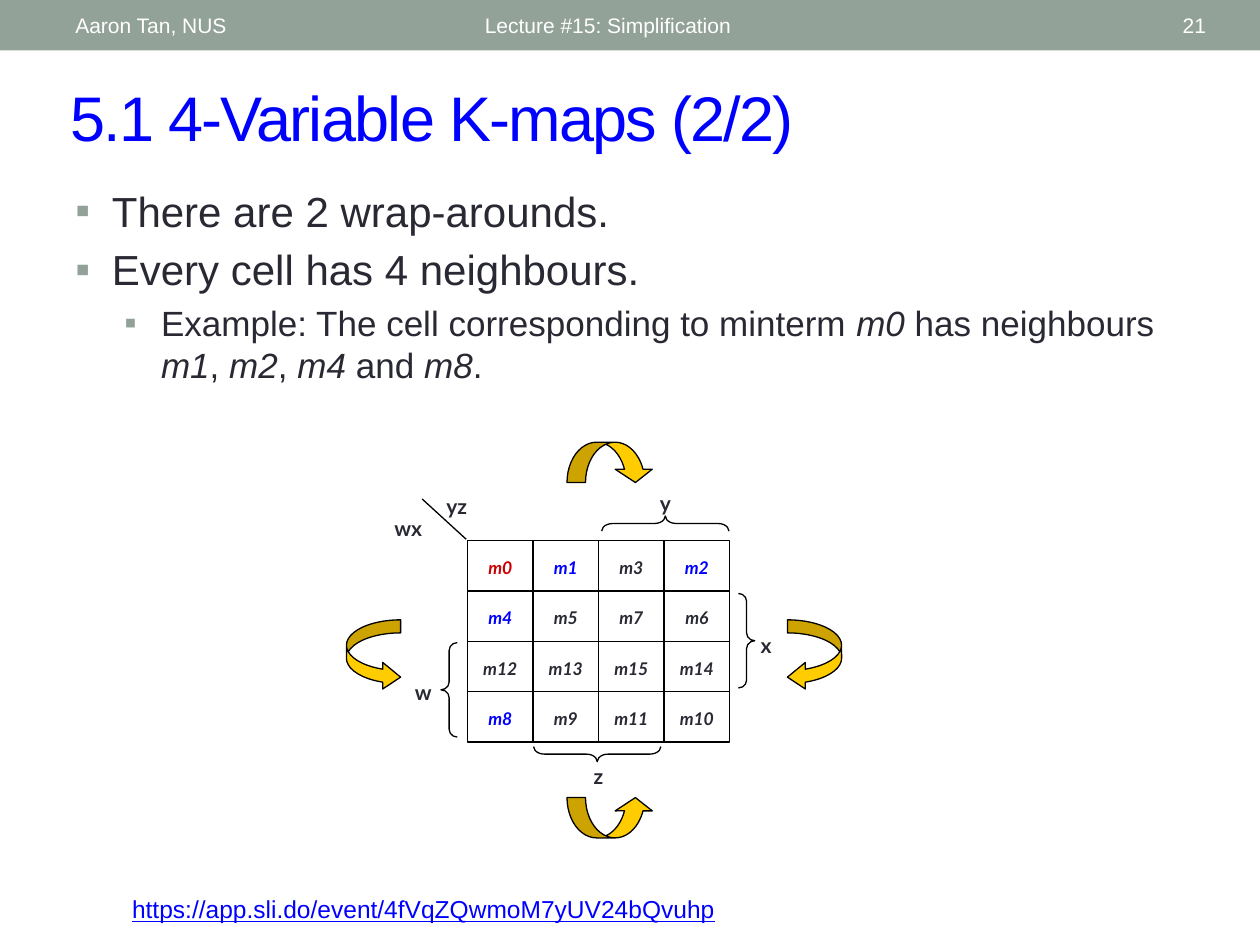
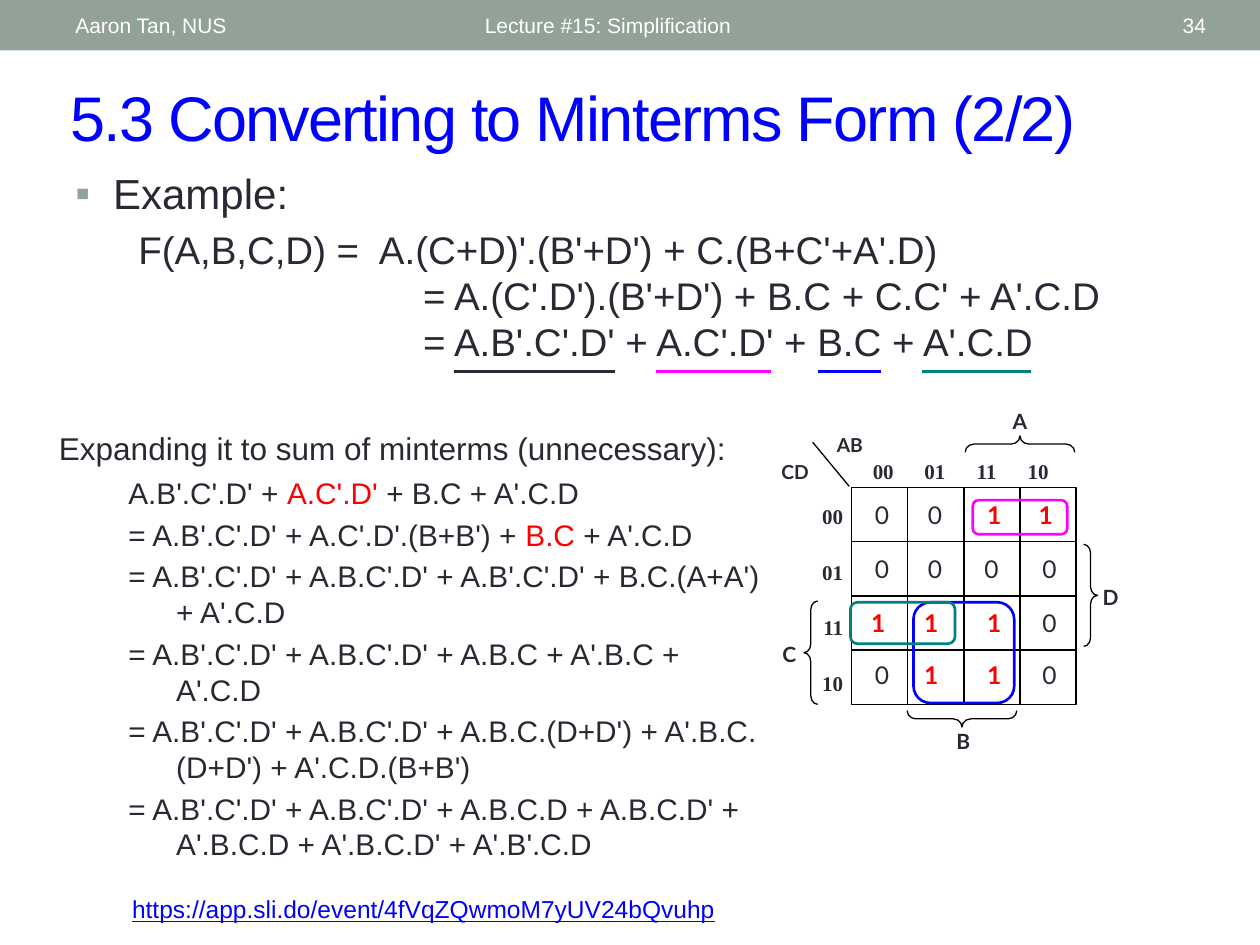
from lxml import etree
from pptx import Presentation
from pptx.dml.color import RGBColor
from pptx.enum.shapes import MSO_CONNECTOR, MSO_SHAPE
from pptx.enum.text import MSO_ANCHOR, PP_ALIGN
from pptx.oxml.ns import qn
from pptx.util import Inches, Pt

SAGE = RGBColor(0x93, 0xA2, 0x99)
INK = RGBColor(0x29, 0x29, 0x34)
BLACK = RGBColor(0, 0, 0)
WHITE = RGBColor(0xFF, 0xFF, 0xFF)
BLUE = RGBColor(0, 0, 0xFF)
RED = RGBColor(0xFF, 0, 0)
DARK_RED = RGBColor(0xCC, 0, 0)
MAGENTA = RGBColor(0xFF, 0, 0xFF)
TEAL = RGBColor(0, 0x80, 0x80)
GOLD = RGBColor(0xFF, 0xCC, 0)

LEFT, CENTER, RIGHT = PP_ALIGN.LEFT, PP_ALIGN.CENTER, PP_ALIGN.RIGHT
TOP, MIDDLE = MSO_ANCHOR.TOP, MSO_ANCHOR.MIDDLE
STRAIGHT = MSO_CONNECTOR.STRAIGHT
RECT, ROUND_RECT = MSO_SHAPE.RECTANGLE, MSO_SHAPE.ROUNDED_RECTANGLE
BRACE = MSO_SHAPE.LEFT_BRACE
SIDE_ARROW, UP_ARROW = MSO_SHAPE.CURVED_RIGHT_ARROW, MSO_SHAPE.CURVED_UP_ARROW

BODY, LABEL, SERIF = "Arial", "Lato", "Times New Roman"
URL = "https://app.sli.do/event/4fVqZQwmoM7yUV24bQvuhp"


def write(p, text, size=12, font=BODY, color=INK, bold=False, italic=False,
          underline=False, align=LEFT, spacing=None, accent=None, bullet=False,
          margin=0, hang=0, before=0):
    """Fill a paragraph; parts between | marks take the accent format."""
    pPr = p._p.get_or_add_pPr()
    pPr.set("marL", str(Inches(margin)))
    pPr.set("indent", str(-Inches(hang)))
    if bullet:
        clr = etree.SubElement(pPr, qn("a:buClr"))
        etree.SubElement(clr, qn("a:srgbClr"), val=str(SAGE))
        etree.SubElement(pPr, qn("a:buFont"), typeface=BODY)
        etree.SubElement(pPr, qn("a:buChar"), char="▪")
    p.alignment = align
    p.space_before = Pt(before)
    for i, part in enumerate(text.split("|")):
        r = p.add_run()
        r.text = part
        style = dict(color=color, italic=italic)
        if i % 2:
            style.update(accent)
        r.font.name, r.font.size, r.font.bold = font, Pt(size), bold
        r.font.italic, r.font.underline = style["italic"], underline
        r.font.color.rgb = style["color"]
        if spacing:
            r._r.get_or_add_rPr().set("spc", str(spacing))


class Deck:
    """Holds the presentation, the lecture style and the current slide."""

    def __init__(self):
        self.prs = Presentation()
        self.prs.slide_width, self.prs.slide_height = Inches(10), Inches(7.5)
        self.s = None

    def new_slide(self, title, number):
        self.s = self.prs.slides.add_slide(self.prs.slide_layouts[6])
        self.shape(RECT, 0, 0, 10, 0.4, fill=SAGE, line=None)
        self.text(0.95, 7.05, 6.5, 0.34, URL, size=14, color=BLUE, underline=True)
        self.text(0.46, 0.57, 9.07, 0.7, title, anchor=MIDDLE, size=36,
                  color=BLUE, spacing=-100)
        header = dict(anchor=MIDDLE, color=WHITE)
        self.text(3.75, 0.02, 4.5, 0.36, "Lecture #15: Simplification", **header)
        self.text(8.72, 0.02, 0.95, 0.36, number, align=RIGHT, **header)
        self.text(0.5, 0.02, 3.17, 0.36, "Aaron Tan, NUS", **header)

    def text(self, x, y, w, h, text, anchor=TOP, **fmt):
        self.paragraphs(x, y, w, h, [(text, {})], anchor, **fmt)

    def paragraphs(self, x, y, w, h, items, anchor=TOP, **shared):
        """Place a box of (text, own format) paragraphs over a shared format."""
        sp = self.s.shapes.add_textbox(Inches(x), Inches(y), Inches(w), Inches(h))
        tf = sp.text_frame
        tf.word_wrap, tf.vertical_anchor = True, anchor
        for i, (text, own) in enumerate(items):
            p = tf.add_paragraph() if i else tf.paragraphs[0]
            write(p, text, **{**shared, **own})

    def label(self, x, y, w, text, h=0.32, size=12):
        self.text(x, y, w, h, text, size=size, font=LABEL, bold=True, align=CENTER)

    def shape(self, kind, x, y, w, h, fill=None, line=BLACK, width=0.75,
              rotation=0, flip=None, adj=()):
        sp = self.s.shapes.add_shape(kind, Inches(x), Inches(y), Inches(w), Inches(h))
        sp.shadow.inherit = False
        sp.rotation = rotation
        if flip:
            sp._element.spPr.get_or_add_xfrm().set(flip, "1")
        for i, value in enumerate(adj):
            sp.adjustments[i] = value
        if fill is None:
            sp.fill.background()
        else:
            sp.fill.solid()
            sp.fill.fore_color.rgb = fill
        if line is None:
            sp.line.fill.background()
        else:
            sp.line.color.rgb, sp.line.width = line, Pt(width)
        return sp

    def brace(self, x, y, w, h, bend, rotation=0):
        self.shape(BRACE, x, y, w, h, rotation=rotation, adj=(bend, 0.5))

    def line(self, x1, y1, x2, y2, color=BLACK, width=0.75):
        c = self.s.shapes.add_connector(
            STRAIGHT, Inches(x1), Inches(y1), Inches(x2), Inches(y2))
        c.line.color.rgb, c.line.width = color, Pt(width)
        etree.SubElement(c._element.spPr, qn("a:effectLst"))
        return c

    def kmap_grid(self, x, y, w, h):
        """Draw a 4 by 4 frame whose middle lines are joined to its sides."""
        frame = self.shape(RECT, x, y, w, h)
        for i in (1, 2, 3):
            across = self.line(x, y + h * i / 4, x + w, y + h * i / 4)
            down = self.line(x + w * i / 4, y, x + w * i / 4, y + h)
            if i == 2:
                for c, start, end in ((across, 1, 3), (down, 0, 2)):
                    c.begin_connect(frame, start)
                    c.end_connect(frame, end)


def four_variable_slide(deck):
    deck.new_slide("5.1 4-Variable K-maps (2/2)", "21")
    deck.paragraphs(0.5, 1.42, 9, 1.96, [
        ("There are 2 wrap-arounds.", {}),
        ("Every cell has 4 neighbours.", dict(before=4.8)),
        ("Example: The cell corresponding to minterm |m0| has neighbours "
         "|m1|, |m2|, |m4| and |m8|.", dict(before=4, size=20, margin=0.68)),
    ], size=24, bullet=True, margin=0.29, hang=0.29, accent=dict(italic=True))

    left, top, cell_w, cell_h = 3.71, 4.29, 0.52, 0.4
    deck.kmap_grid(left, top, 4 * cell_w, 4 * cell_h)
    colors = {0: DARK_RED, 1: BLUE, 2: BLUE, 4: BLUE, 8: BLUE}
    gray_code = (0, 1, 3, 2)
    for row, wx in enumerate(gray_code):
        for col, yz in enumerate(gray_code):
            minterm = 4 * wx + yz
            deck.text(left + col * cell_w, top + 0.08 + row * cell_h, cell_w, 0.32,
                      f"m{minterm}", size=10, font=LABEL, bold=True, italic=True,
                      align=CENTER, color=colors.get(minterm, INK))

    deck.line(3.7, 4.28, 3.35, 3.96)
    for name, x, y, w in (("wx", 2.92, 4.04, 0.64), ("yz", 3.4, 3.87, 0.45),
                          ("w", 3.17, 5.34, 0.38), ("x", 5.89, 4.97, 0.38),
                          ("y", 5.09, 3.84, 0.38), ("z", 4.56, 6.01, 0.38)):
        deck.label(x, y, w, name)
    deck.brace(3.5, 5.1, 0.13, 0.75, 0.48)
    deck.brace(5.86, 4.71, 0.13, 0.75, 0.48, 180)
    deck.brace(5.22, 3.65, 0.12, 1.01, 0.72, 90)
    deck.brace(4.68, 5.48, 0.12, 1.01, 0.72, 270)

    for x, flip in ((2.75, None), (6.25, "flipH")):
        deck.shape(SIDE_ARROW, x, 4.92, 0.43, 0.56, fill=GOLD, flip=flip,
                   adj=(0.24, 0.49, 0.33))
    for y, flip in ((6.33, None), (3.51, "flipV")):
        deck.shape(UP_ARROW, 4.5, y, 0.69, 0.32, fill=GOLD, flip=flip,
                   adj=(0.46, 0.92, 0.33))


def minterms_slide(deck):
    deck.new_slide("5.3 Converting to Minterms Form (2/2)", "34")
    formula = dict(size=22, margin=2.76)
    deck.paragraphs(0.5, 1.28, 9, 1.65, [
        ("Example:", dict(size=24, bullet=True, margin=0.3, hang=0.3)),
        ("F(A,B,C,D) =\tA.(C+D)'.(B'+D') + C.(B+C'+A'.D)",
         dict(size=22, margin=2.41, hang=1.91, before=4.4)),
        ("= A.(C'.D').(B'+D') + B.C + C.C' + A'.C.D", formula),
        ("= A.B'.C'.D' + A.C'.D' + B.C + A'.C.D", formula),
    ])
    for x1, x2, color in ((3.6, 4.88, INK), (5.21, 6.12, MAGENTA),
                          (6.49, 6.99, BLUE), (7.32, 8.18, TEAL)):
        deck.line(x1, 2.95, x2, 2.95, color, 1.5)

    deck.text(0.37, 3.36, 5.54, 0.4,
              "Expanding it to sum of minterms (unnecessary):", size=18)
    steps = (
        "A.B'.C'.D' + |A.C'.D'| + B.C + A'.C.D",
        "= A.B'.C'.D' + A.C'.D'.(B+B') + |B.C| + A'.C.D",
        "= A.B'.C'.D' + A.B.C'.D' + A.B'.C'.D' + B.C.(A+A') + A'.C.D",
        "= A.B'.C'.D' + A.B.C'.D' + A.B.C + A'.B.C + A'.C.D",
        "= A.B'.C'.D' + A.B.C'.D' + A.B.C.(D+D') + A'.B.C.(D+D') + A'.C.D.(B+B')",
        "= A.B'.C'.D' + A.B.C'.D' + A.B.C.D + A.B.C.D' + A'.B.C.D + A'.B.C.D'"
        " + A'.B'.C.D",
    )
    deck.paragraphs(0.92, 3.72, 5.25, 3.3,
                    [(step, dict(before=3.4 if i else 0)) for i, step in enumerate(steps)],
                    size=17, margin=0.38, hang=0.38, accent=dict(color=RED))

    deck.kmap_grid(6.76, 3.87, 1.78, 1.72)
    heading = dict(anchor=MIDDLE, font=SERIF, bold=True)
    for i, code in enumerate(("00", "01", "11", "10")):
        deck.text(6.79 + 0.41 * i, 3.59, 0.44, 0.3, code, align=CENTER, **heading)
        deck.text(6.35, 3.95 + 0.44 * i, 0.44, 0.3, code, align=RIGHT, **heading)
    deck.line(6.74, 3.86, 6.45, 3.51)
    deck.label(6, 3.6, 0.62, "CD", size=11)
    deck.label(6.49, 3.39, 0.51, "AB", size=11)
    for name, x, y in (("A", 7.93, 3.19), ("B", 7.48, 5.73),
                       ("C", 6.1, 5.04), ("D", 8.65, 4.59)):
        deck.label(x, y, 0.33, name)
    deck.brace(6.38, 4.77, 0.11, 0.82, 0.63)
    deck.brace(8.6, 4.32, 0.11, 0.81, 0.63, 180)
    deck.brace(8.03, 3.09, 0.13, 0.87, 0.54, 90)
    deck.brace(7.57, 5.27, 0.13, 0.87, 0.54, 270)

    digit_lefts = {"0": (6.78, 7.2, 7.65, 8.11), "1": (6.75, 7.17, 7.67, 8.08)}
    for y, row in zip((3.92, 4.35, 4.78, 5.19), ("0011", "0000", "1110", "0110")):
        for col, digit in enumerate(row):
            one = digit == "1"
            deck.text(digit_lefts[digit][col], y, 0.44, 0.35, digit, size=14,
                      font=LABEL, bold=one, color=RED if one else INK, align=CENTER)
    for x, y, w, h, color in ((7.25, 4.78, 0.8, 0.8, BLUE),
                              (6.75, 4.78, 0.83, 0.33, TEAL),
                              (7.72, 3.97, 0.75, 0.27, MAGENTA)):
        deck.shape(ROUND_RECT, x, y, w, h, line=color, width=1.5, adj=(0.17,))


def main():
    deck = Deck()
    four_variable_slide(deck)
    minterms_slide(deck)
    deck.prs.save("out.pptx")


if __name__ == "__main__":
    main()
